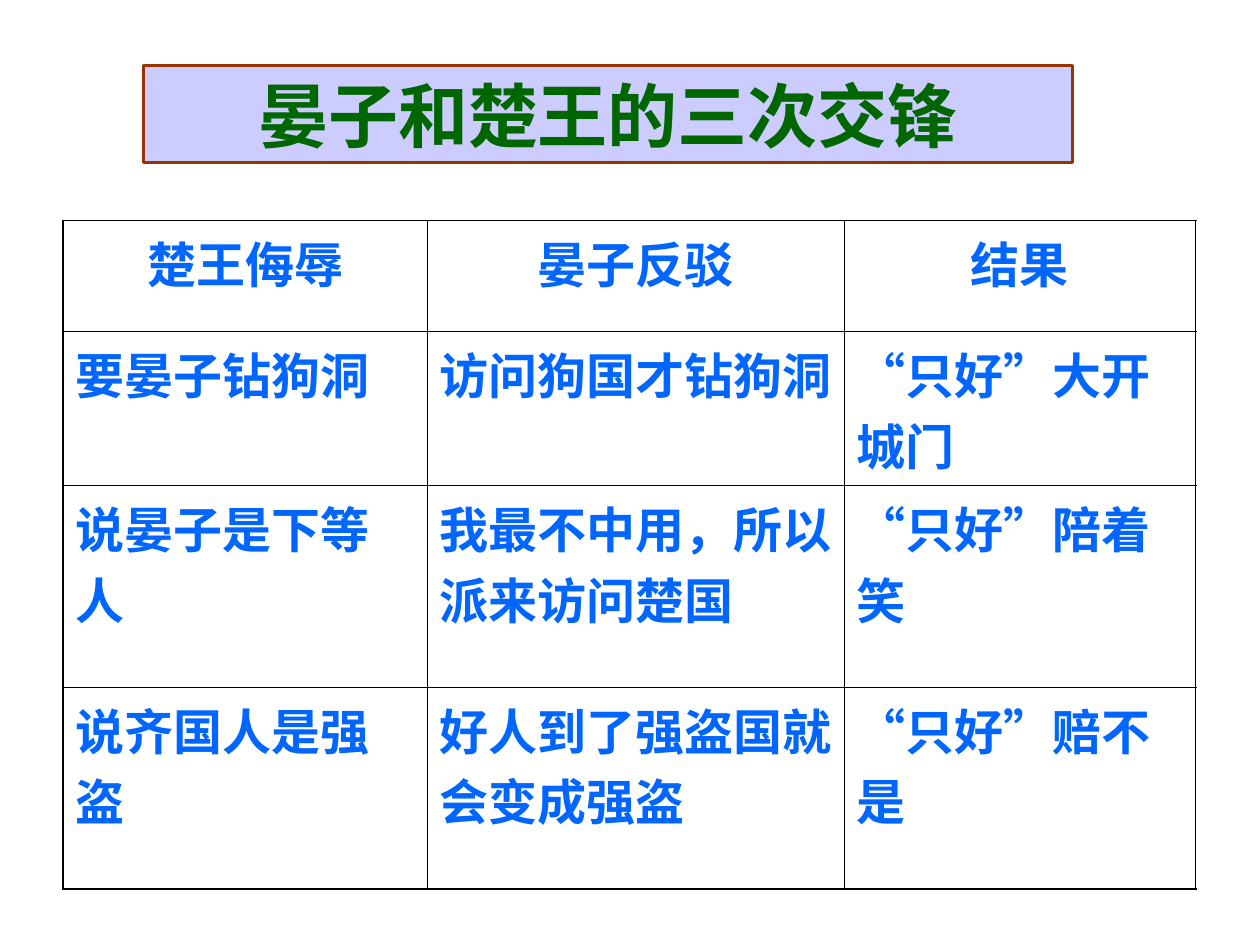
"""Build a slide with a framed title and a table of three exchanges."""
import itertools

import lxml.etree
import pptx
import pptx.dml.color
import pptx.enum.shapes
import pptx.enum.text
import pptx.oxml.ns
import pptx.util

THEME = {
    "title_fill": "CCCCFF", "title_line": "993300", "title_text": "006600",
    "table_text": "0066FF", "border": "000000",
    "title_size": 40, "table_size": 28,
    "title_border": 1.5, "outer_border": 1.08, "inner_border": 0.45,
    "font": "Times New Roman", "quote_font": "Arial",
}
QUOTES = "“”"
COLUMNS = [2.89, 3.31, 2.79]
ROWS = [0.88, 1.18, 1.6, 1.6]
EXCHANGES = [
    ["楚王侮辱", "晏子反驳", "结果"],
    ["要晏子钻狗洞", "访问狗国才钻狗洞", "“只好”大开城门"],
    ["说晏子是下等人", "我最不中用，所以派来访问楚国", "“只好”陪着笑"],
    ["说齐国人是强盗", "好人到了强盗国就会变成强盗", "“只好”赔不是"],
]


def write_text(paragraph, text, size, color, centered):
    if centered:
        paragraph.alignment = pptx.enum.text.PP_ALIGN.CENTER
    paragraph.font.size = pptx.util.Pt(size)
    paragraph.font.bold = True
    paragraph.font.color.rgb = pptx.dml.color.RGBColor.from_string(color)
    for quoted, letters in itertools.groupby(text, lambda letter: letter in QUOTES):
        run = paragraph.add_run()
        run.text = "".join(letters)
        run.font.name = THEME["quote_font"] if quoted else THEME["font"]


def add_border(cell, side, outer):
    width = THEME["outer_border"] if outer else THEME["inner_border"]
    properties = cell._tc.get_or_add_tcPr()
    line = lxml.etree.SubElement(properties, pptx.oxml.ns.qn(f"a:ln{side}"), w=str(pptx.util.Pt(width)))
    fill = lxml.etree.SubElement(line, pptx.oxml.ns.qn("a:solidFill"))
    lxml.etree.SubElement(fill, pptx.oxml.ns.qn("a:srgbClr"), val=THEME["border"])


presentation = pptx.Presentation()
presentation.slide_width = pptx.util.Inches(10)
presentation.slide_height = pptx.util.Inches(7.5)
slide = presentation.slides.add_slide(presentation.slide_layouts[6])

title = slide.shapes.add_shape(
    pptx.enum.shapes.MSO_SHAPE.RECTANGLE,
    *(pptx.util.Inches(length) for length in (1.14, 0.52, 7.37, 0.77)),
)
title.shadow.inherit = False
title.fill.solid()
title.fill.fore_color.rgb = pptx.dml.color.RGBColor.from_string(THEME["title_fill"])
title.line.color.rgb = pptx.dml.color.RGBColor.from_string(THEME["title_line"])
title.line.width = pptx.util.Pt(THEME["title_border"])
title.text_frame.vertical_anchor = pptx.enum.text.MSO_ANCHOR.MIDDLE
write_text(title.text_frame.paragraphs[0], "晏子和楚王的三次交锋",
           THEME["title_size"], THEME["title_text"], True)

table = slide.shapes.add_table(
    len(ROWS), len(COLUMNS),
    *(pptx.util.Inches(length) for length in (0.5, 1.75, sum(COLUMNS), sum(ROWS))),
).table
table.first_row = False
table.horz_banding = False
for column, width in zip(table.columns, COLUMNS):
    column.width = pptx.util.Inches(width)
for row, height in zip(table.rows, ROWS):
    row.height = pptx.util.Inches(height)

last_row, last_column = len(ROWS) - 1, len(COLUMNS) - 1
for row_index, texts in enumerate(EXCHANGES):
    for column_index, text in enumerate(texts):
        cell = table.cell(row_index, column_index)
        write_text(cell.text_frame.paragraphs[0], text,
                   THEME["table_size"], THEME["table_text"], row_index == 0)
        add_border(cell, "L", column_index == 0)
        add_border(cell, "R", column_index == last_column)
        add_border(cell, "T", row_index == 0)
        add_border(cell, "B", row_index == last_row)
        cell.fill.background()

presentation.save("out.pptx")
